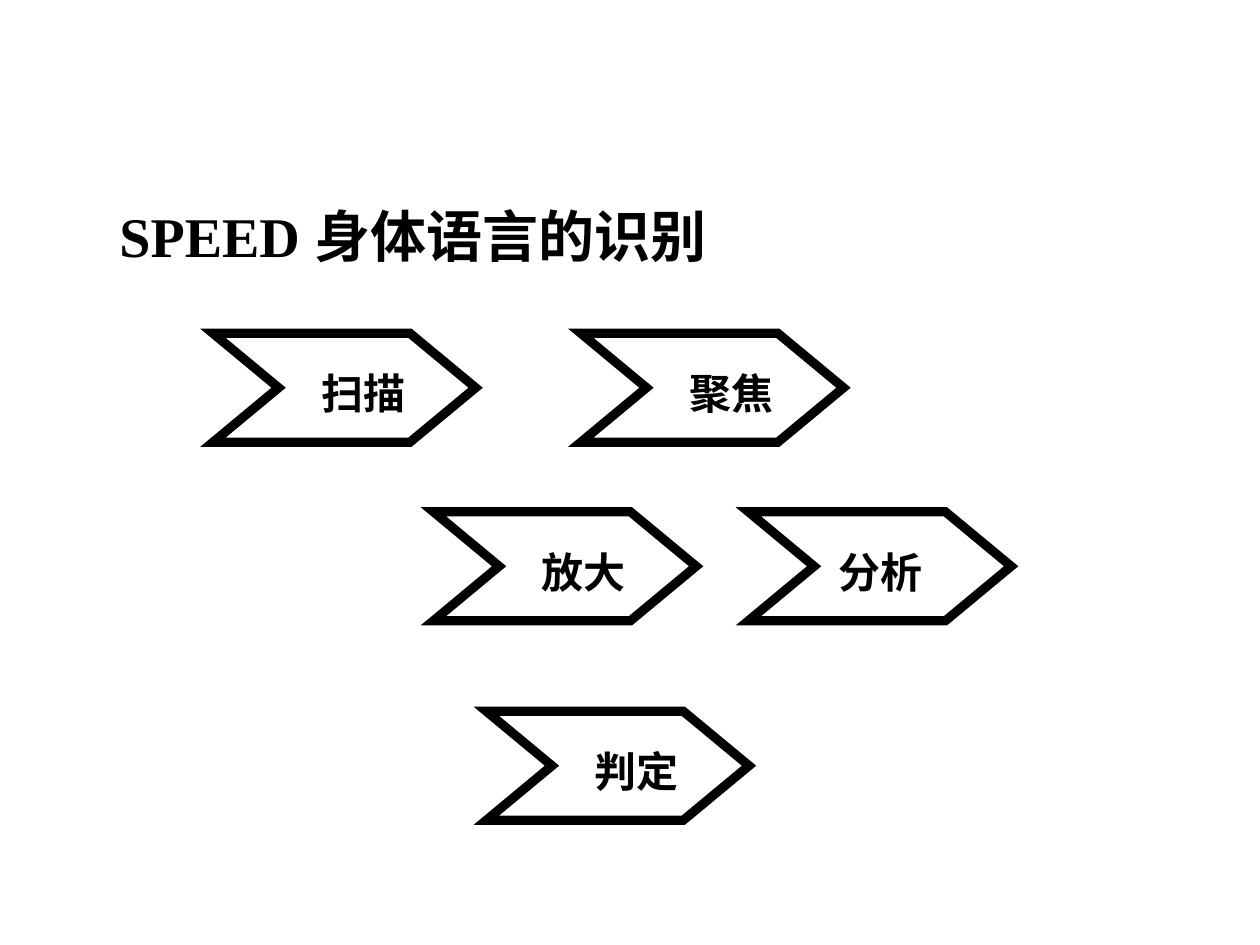
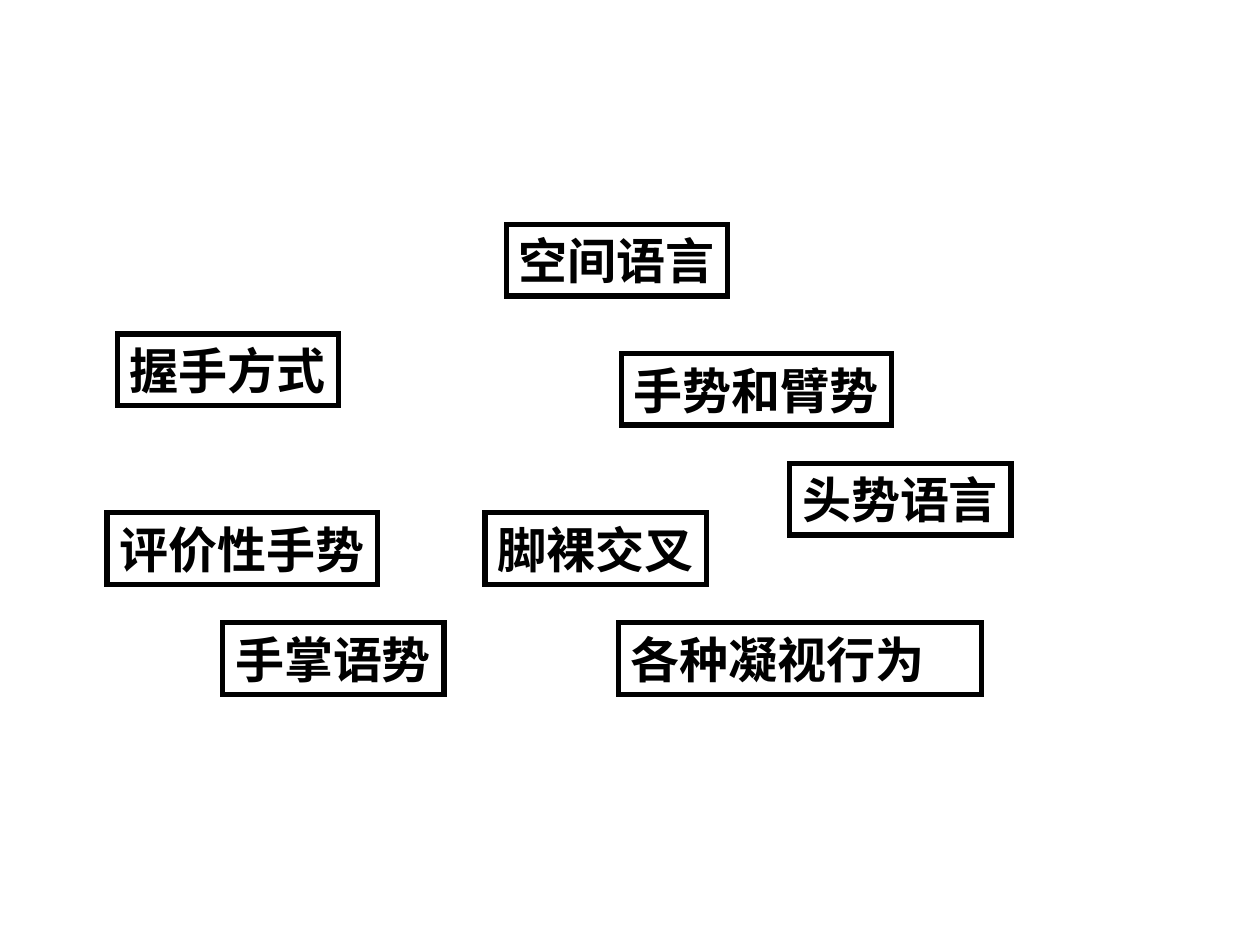
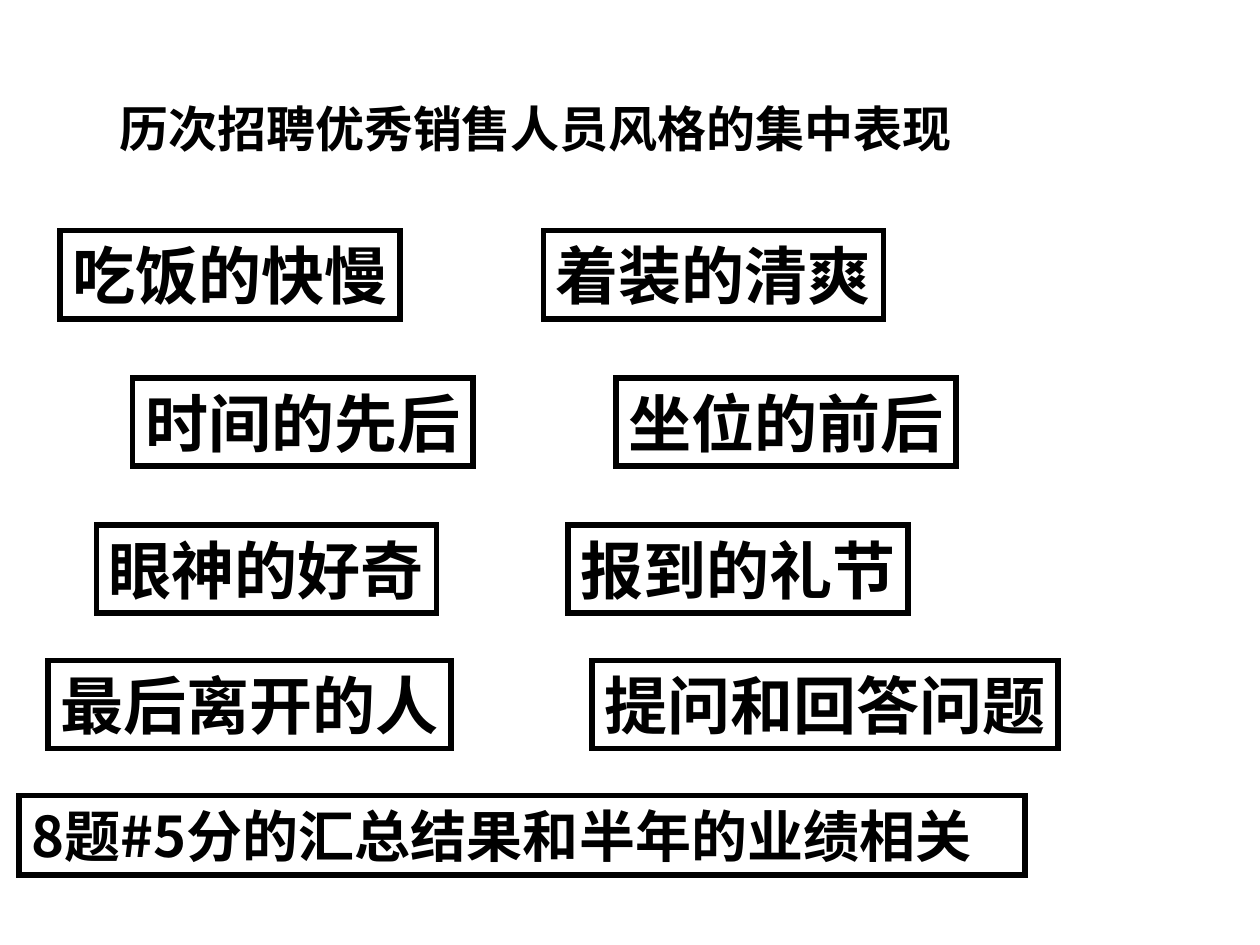
from lxml import etree
from pptx import Presentation
from pptx.dml.color import RGBColor
from pptx.enum.shapes import MSO_SHAPE
from pptx.enum.text import MSO_ANCHOR, PP_ALIGN
from pptx.oxml.ns import qn
from pptx.util import Inches, Pt

RECT = MSO_SHAPE.RECTANGLE
MIDDLE = MSO_ANCHOR.MIDDLE
LEFT, CENTER = PP_ALIGN.LEFT, PP_ALIGN.CENTER
BLACK = RGBColor(0, 0, 0)
SERIF, SANS = "Times New Roman", "Noto Sans CJK SC"
CELL = Inches(0.1)
COLS, ROWS = 100, 75
PAD, RISE = 1, 0.5
ARROW = (20.85, 8.65)
POINTS = [(0, 0), (0.75, 0), (1, 0.5), (0.75, 1), (0, 1), (0.25, 0.5)]

STEPS = [
    (16.9, 26.45, "扫描", 3),
    (46.1, 26.45, "聚焦", 3),
    (34.4, 40.62, "放大", 3),
    (59.4, 40.62, "分析", 0.1),
    (38.6, 56.45, "判定", 3),
]
SIGNS = [
    (40.2, 17.83, "空间语言"),
    (9.33, 26.5, "握手方式"),
    (49.33, 28.08, "手势和臂势"),
    (8.5, 40.7, "评价性手势"),
    (38.5, 40.7, "脚裸交叉"),
    (17.68, 49.43, "手掌语势"),
    (62.68, 36.8, "头势语言"),
]
HABITS = [
    (18.3, (4.77, "吃饭的快慢"), (43.13, "着装的清爽")),
    (30, (10.53, "时间的先后"), (48.9, "坐位的前后")),
    (41.68, (7.66, "眼神的好奇"), (45.1, "报到的礼节")),
    (52.42, (3.8, "最后离开的人"), (47, "提问和回答问题")),
]


def cells(*counts):
    """Turn grid counts into slide lengths."""
    return [round(n * CELL) for n in counts]


def write(shape, text, size, font=SERIF, align=LEFT, wrap=False, left=PAD, top=RISE):
    """Put bold black text into a shape."""
    frame = shape.text_frame
    frame.word_wrap = wrap
    frame.vertical_anchor = MIDDLE
    frame.margin_left, frame.margin_top = cells(left, top)
    frame.margin_right, frame.margin_bottom = cells(PAD, RISE)
    para = frame.paragraphs[0]
    para.alignment = align
    run = para.add_run()
    run.text = text
    run.font.name, run.font.size, run.font.bold = font, Pt(size), True
    run.font.color.rgb = BLACK


def outline(shape, weight):
    """Give a shape a plain black outline with sharp corners."""
    shape.shadow.inherit = False
    shape.fill.background()
    shape.line.color.rgb = BLACK
    shape.line.width = Pt(weight)
    join = etree.SubElement(shape.line._ln, qn("a:miter"))
    join.set("lim", "800000")


def fit(text, size):
    """Return the grid size that holds one line of square letters."""
    return len(text) * size / 7.2 + 2 * PAD, size / 6 + 2 * RISE


def title(slide, x, y, text, size, width=None):
    """Add a heading without a frame."""
    wide, high = fit(text, size)
    box = slide.shapes.add_textbox(*cells(x, y, width or wide, high))
    write(box, text, size)


def label(slide, x, y, text, size, weight, width=None, **form):
    """Add a framed line of text."""
    wide, high = fit(text, size)
    box = slide.shapes.add_shape(RECT, *cells(x, y, width or wide, high))
    outline(box, weight)
    write(box, text, size, **form)


def arrow(slide, x, y, text, shift):
    """Add a notched arrow with its step name."""
    wide, high = ARROW
    spots = [cells(x + a * wide, y + b * high) for a, b in POINTS]
    pen = slide.shapes.build_freeform(*spots[0], scale=1.0)
    pen.add_line_segments(spots[1:], close=True)
    shape = pen.convert_to_shape()
    outline(shape, 5.25)
    write(shape, text, 24, align=CENTER, left=PAD + shift, top=1.3)


def steps(slide):
    """Build the slide of five recognition steps."""
    title(slide, 8.5, 15.5, "SPEED 身体语言的识别", 32, width=54)
    for step in STEPS:
        arrow(slide, *step)


def signs(slide):
    """Build the slide of body language signs."""
    for x, y, text in SIGNS:
        label(slide, x, y, text, 28, 3)
    label(slide, 49.08, 49.43, "各种凝视行为", 28, 3, width=28.8, wrap=True)


def habits(slide):
    """Build the slide of habits seen in good sellers."""
    title(slide, 8.5, 7.3, "历次招聘优秀销售人员风格的集中表现", 28)
    for y, *pair in HABITS:
        for x, text in pair:
            label(slide, x, y, text, 36, 3.25)
    label(slide, 1.52, 63.13, "8题#5分的汇总结果和半年的业绩相关", 32, 3.25,
          width=79.83, font=SANS)


def main():
    """Build and save the deck."""
    deck = Presentation()
    deck.slide_width, deck.slide_height = cells(COLS, ROWS)
    for build in (steps, signs, habits):
        build(deck.slides.add_slide(deck.slide_layouts[6]))
    deck.save("out.pptx")


if __name__ == "__main__":
    main()
